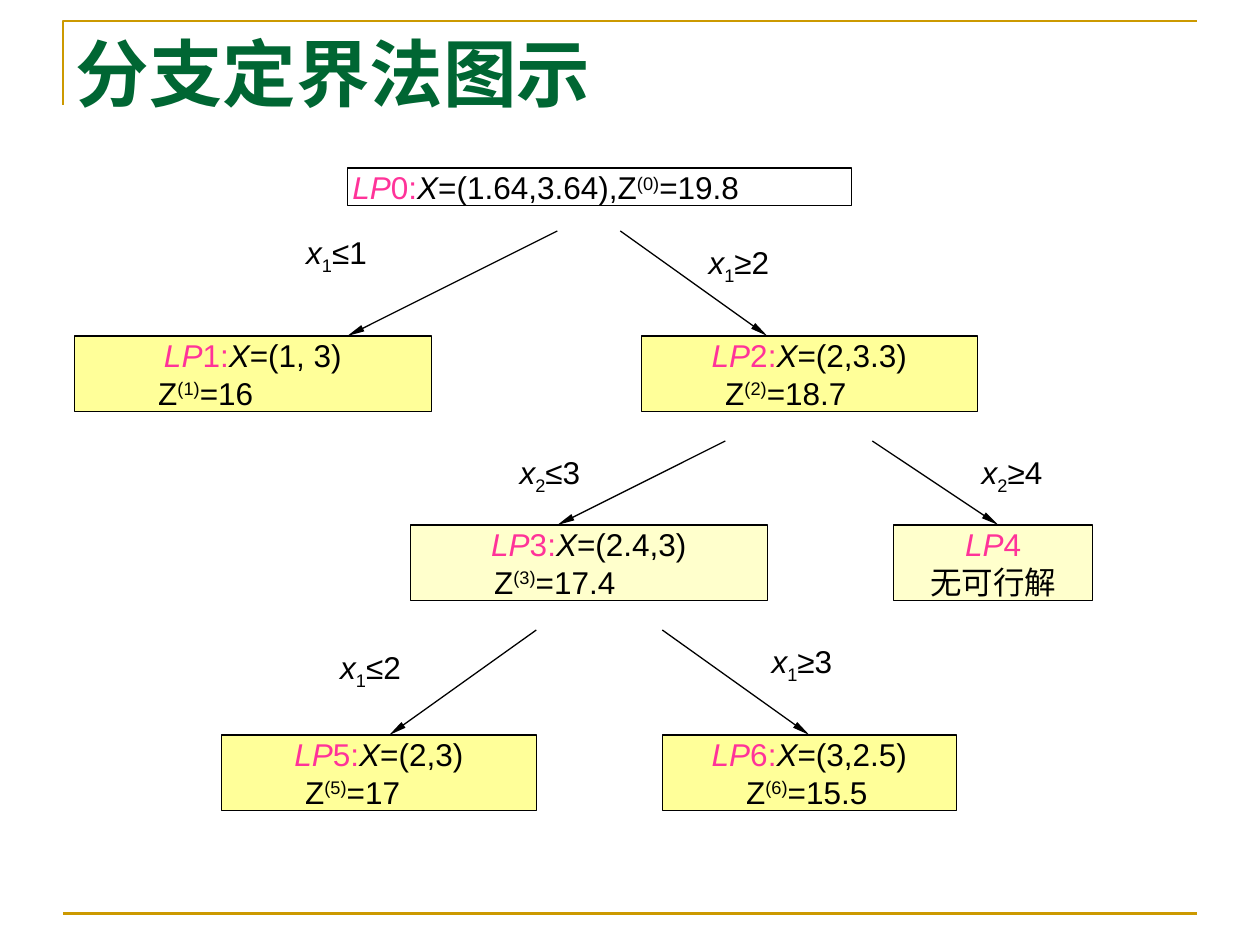
import pptx
import pptx.dml.color
import pptx.enum.shapes
import pptx.enum.text
import pptx.oxml
import pptx.oxml.ns
import pptx.util

RGBColor = pptx.dml.color.RGBColor
GOLD = RGBColor(0xCC, 0x99, 0x00)
GREEN = RGBColor(0x00, 0x66, 0x33)
PINK = RGBColor(0xFF, 0x33, 0x99)
BLACK = RGBColor(0, 0, 0)
WHITE = RGBColor(0xFF, 0xFF, 0xFF)
YELLOW = RGBColor(0xFF, 0xFF, 0x99)
CREAM = RGBColor(0xFF, 0xFF, 0xCC)

Pt = pptx.util.Pt
Inches = pptx.util.Inches
MSO_AUTO_SIZE = pptx.enum.text.MSO_AUTO_SIZE
CENTER = pptx.enum.text.PP_ALIGN.CENTER
LEFT = pptx.enum.text.PP_ALIGN.LEFT
STRAIGHT = pptx.enum.shapes.MSO_CONNECTOR.STRAIGHT
UNIT = Inches(1) / 6
GRID_LEFT = Inches(0.09)
LINE_HEIGHT = Pt(21.6)
LABEL_LINE_HEIGHT = Pt(24.5)


def write_line(paragraph, pieces, alignment=LEFT, line_height=LINE_HEIGHT):
    paragraph.alignment = alignment
    paragraph.line_spacing = line_height
    paragraph.font.size = Pt(18)
    paragraph.font.name = "Arial"
    for text, color, italic, baseline in pieces:
        run = paragraph.add_run()
        run.text = text
        run.font.color.rgb = color
        run.font.italic = italic
        if baseline:
            run.font._element.set("baseline", str(baseline * 1000))


def add_line(shapes, start, end, color, width):
    line = shapes.add_connector(STRAIGHT, *(int(value) for value in start + end))
    line.line.color.rgb = color
    line.line.width = Pt(width)
    line._element.spPr.append(pptx.oxml.parse_xml(
        f'<a:effectLst {pptx.oxml.ns.nsdecls("a")}/>'))
    return line


presentation = pptx.Presentation()
presentation.slide_width = Inches(10)
presentation.slide_height = Inches(7.5)
slide = presentation.slides.add_slide(presentation.slide_layouts[5])
shapes = slide.shapes
margin = presentation.slide_width * 0.05
right = presentation.slide_width - margin

builder = shapes.build_freeform(int(margin), int(5 * UNIT))
builder.add_line_segments([(int(margin), int(UNIT)), (int(right), int(UNIT))], close=False)
bracket = builder.convert_to_shape()
bracket.shadow.inherit = False
bracket.fill.background()
bracket.line.color.rgb = GOLD
bracket.line.width = Pt(1.5)
add_line(shapes, (margin, 43.5 * UNIT), (right, 43.5 * UNIT), GOLD, 1.5)

title = shapes.title
title.left, title.top = int(margin), int(UNIT)
title.width, title.height = int(right - margin), int(6 * UNIT)
title.text_frame.text = "分支定界法图示"
title.text_frame.auto_size = MSO_AUTO_SIZE.NONE
title.text_frame.vertical_anchor = pptx.enum.text.MSO_ANCHOR.TOP
paragraph = title.text_frame.paragraphs[0]
paragraph.alignment = LEFT
paragraph.line_spacing = Pt(50.7)
paragraph.font.size = Pt(42)
paragraph.font.name = "Times New Roman"
paragraph.font.bold = True
paragraph.font.color.rgb = GREEN

nodes = [
    (0, 16, 8, 24, WHITE, "=(1.64,3.64)", "=19.8"),
    (1, 3, 16, 17, YELLOW, "=(1, 3)", "=16"),
    (2, 30, 16, 16, YELLOW, "=(2,3.3)", "=18.7"),
    (3, 19, 25, 17, CREAM, "=(2.4,3)", "=17.4"),
    (4, 42, 25, 9.5, CREAM, None, None),
    (5, 10, 35, 15, YELLOW, "=(2,3)", "=17"),
    (6, 31, 35, 14, YELLOW, "=(3,2.5)", "=15.5"),
]
boxes = {}
for number, column, row, columns, fill, solution, value in nodes:
    lines = 1 if number == 0 else 2
    box = shapes.add_shape(
        pptx.enum.shapes.MSO_SHAPE.RECTANGLE, int(GRID_LEFT + column * UNIT),
        int(row * UNIT), int(columns * UNIT), lines * LINE_HEIGHT)
    boxes[number] = box
    box.shadow.inherit = False
    box.fill.solid()
    box.fill.fore_color.rgb = fill
    box.line.color.rgb = BLACK
    box.line.width = Pt(0.75)
    frame = box.text_frame
    frame.margin_left = frame.margin_right = Inches(0.04)
    frame.margin_top = frame.margin_bottom = 0
    frame.vertical_anchor = pptx.enum.text.MSO_ANCHOR.TOP
    frame.word_wrap = True
    frame.auto_size = MSO_AUTO_SIZE.SHAPE_TO_FIT_TEXT
    first = frame.paragraphs[0]
    name = [("LP", PINK, True, 0), (f"{number}:" if solution else f"{number}", PINK, False, 0)]
    if solution is None:
        write_line(first, name, CENTER)
        write_line(frame.add_paragraph(), [("无可行解", BLACK, False, 0)], CENTER)
        continue
    name += [("X", BLACK, True, 0), (solution, BLACK, False, 0)]
    bound = [("Z", BLACK, False, 0), (f"({number})", BLACK, False, 30), (value, BLACK, False, 0)]
    if number == 0:
        write_line(first, name + [(",", BLACK, False, 0)] + bound)
    else:
        write_line(first, name, CENTER)
        second = frame.add_paragraph()
        second._p.get_or_add_pPr().set("marL", str(Pt(45)))
        second._p.get_or_add_pPr().set("indent", "0")
        write_line(second, bound)

branches = [
    (26, 11, 16, 16, 12.84, 10.5, "1", "≤1"),
    (29, 11, 36, 16, 32, 11, "1", "≥2"),
    (34, 21, 26, 25, 23, 21, "2", "≤3"),
    (41, 21, 47, 25, 45, 21, "2", "≥4"),
    (25, 30, 18, 35, 14.46, 30.25, "1", "≤2"),
    (31, 30, 38, 35, 35, 30, "1", "≥3"),
]
for start_column, start_row, end_column, end_row, column, row, index, limit in branches:
    arrow = add_line(
        shapes, (GRID_LEFT + start_column * UNIT, start_row * UNIT),
        (GRID_LEFT + end_column * UNIT, end_row * UNIT), BLACK, 0.75)
    arrow.line._get_or_add_ln().append(pptx.oxml.parse_xml(
        f'<a:tailEnd {pptx.oxml.ns.nsdecls("a")} type="triangle" w="sm" len="lg"/>'))
    if (end_column, end_row) == (38, 35):
        arrow.end_connect(boxes[6], 0)
    label = shapes.add_textbox(
        int(GRID_LEFT + column * UNIT), int(row * UNIT), Inches(0.92), Inches(0.54))
    frame = label.text_frame
    frame.margin_left = Inches(0.2)
    frame.margin_right = Inches(0.1)
    frame.margin_top = frame.margin_bottom = Inches(0.1)
    frame.word_wrap = False
    frame.auto_size = MSO_AUTO_SIZE.NONE
    write_line(frame.paragraphs[0], [
        ("x", BLACK, True, 0), (index, BLACK, False, -25), (limit, BLACK, False, 0)],
        line_height=LABEL_LINE_HEIGHT)

presentation.save("out.pptx")
